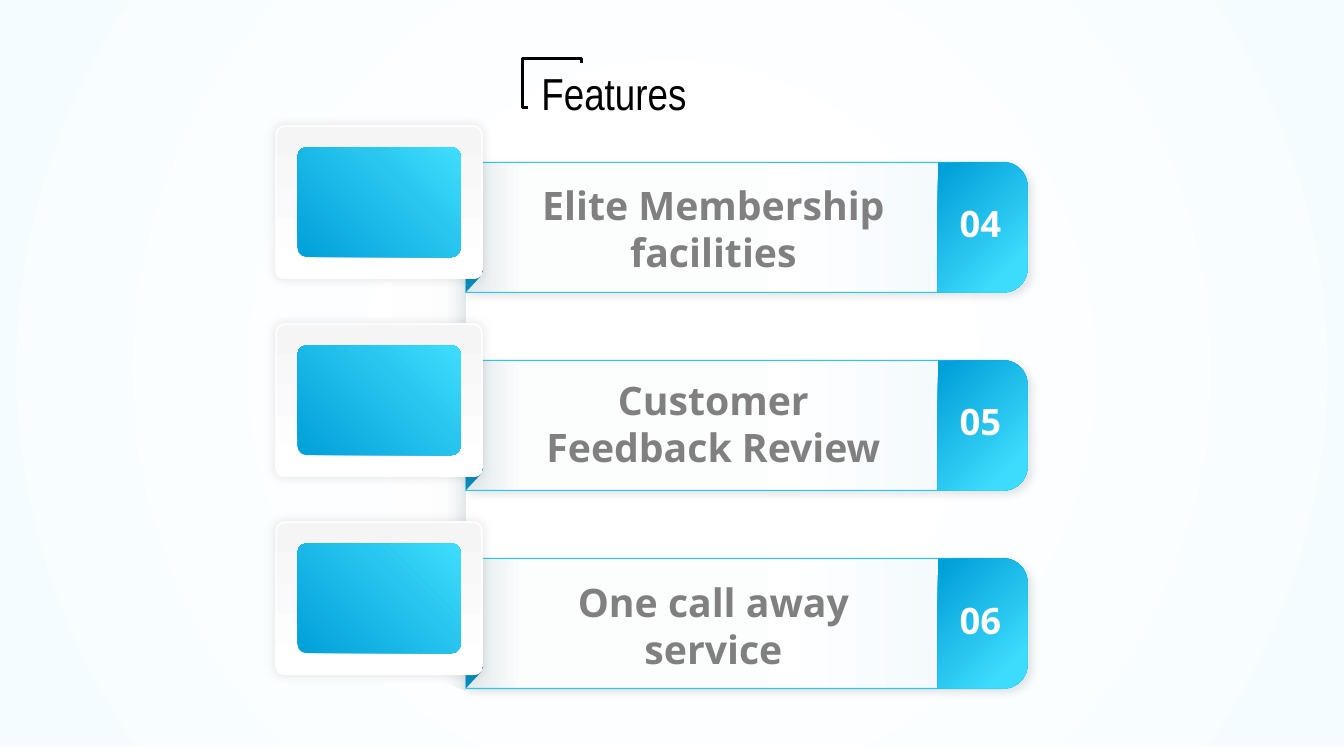
import math
from lxml import etree
from pptx import Presentation
from pptx.dml.color import RGBColor
from pptx.enum.shapes import MSO_SHAPE
from pptx.enum.text import MSO_ANCHOR, MSO_AUTO_SIZE, PP_ALIGN
from pptx.oxml.ns import qn
from pptx.util import Inches, Pt

RECTANGLE = MSO_SHAPE.RECTANGLE
ROUNDED = MSO_SHAPE.ROUNDED_RECTANGLE
TOP = MSO_ANCHOR.TOP
FIT_SHAPE = MSO_AUTO_SIZE.SHAPE_TO_FIT_TEXT
LEFT, CENTER = PP_ALIGN.LEFT, PP_ALIGN.CENTER

FEATURES = [
    ("04", "Elite Membership facilities", 1.75),
    ("05", "Customer Feedback Review", 3.68),
    ("06", "One call away service", 5.69),
]
ROW_TOP, ROW_PITCH, ROW_HEIGHT = 1.61, 3.93 / 2, 1.29
BAR_LEFT, BAR_RIGHT, BADGE_LEFT = 4.62, 10.19, 9.3
BAR_RADIUS, FRAME_RADIUS = 0.24, 0.09
FRAME_LEFT, FRAME_WIDTH, FRAME_HEIGHT = 2.73, 2.06, 1.53
BAR_STOPS = [(0, "E1E8EB", 100), (10, "FCFDFD", 100), (54, "FFFFFF", 100), (90, "F2F9FC", 100)]
FRAME_STOPS = [(0, "FFFFFF", 100), (100, "F5F5F5", 100)]
ICON_STOPS = [(0, "01A0D9", 100), (100, "3EDCFC", 100)]
BADGE_STOPS = [(5, "01A0D9", 100), (84, "3EDCFC", 100)]
FADE_STOPS = [(31, "FFFFFF", 0), (80, "FCFDFD", 30), (100, "E1E8EB", 100)]
PAGE_STOPS = [(25, "FFFFFF", 100), (100, "F5FCFF", 100)]


def color(value):
    return RGBColor.from_string(value)


def paint(shape, stops, angle=None, line=None, shadow=None):
    shape.shadow.inherit = False
    shape.fill.gradient()
    gradient = shape._element.spPr.find(qn("a:gradFill"))
    for child in list(gradient):
        gradient.remove(child)
    stop_list = etree.SubElement(gradient, qn("a:gsLst"))
    for position, value, opacity in stops:
        stop = etree.SubElement(stop_list, qn("a:gs"), pos=str(position * 1000))
        tint = etree.SubElement(stop, qn("a:srgbClr"), val=value)
        if opacity < 100:
            etree.SubElement(tint, qn("a:alpha"), val=str(opacity * 1000))
    if angle is None:
        radial = etree.SubElement(gradient, qn("a:path"), {"path": "circle"})
        etree.SubElement(radial, qn("a:fillToRect"), l="50000", t="50000", r="50000", b="50000")
    else:
        etree.SubElement(gradient, qn("a:lin"), ang=str(angle * 60000), scaled="0")
    if line:
        shape.line.color.rgb = color(line)
        shape.line.width = Pt(0.75)
    else:
        shape.line.fill.background()
    if shadow:
        blur, distance, direction = shadow
        effects = shape._element.spPr.find(qn("a:effectLst"))
        outer = etree.SubElement(effects, qn("a:outerShdw"), blurRad=str(Pt(blur)),
                                 dist=str(Pt(distance)), dir=str(direction * 60000),
                                 algn="ctr", rotWithShape="0")
        black = etree.SubElement(outer, qn("a:srgbClr"), val="000000")
        etree.SubElement(black, qn("a:alpha"), val="10000")


deck = Presentation()
deck.slide_width, deck.slide_height = Inches(13.33), Inches(7.5)
page = deck.slides.add_slide(deck.slide_layouts[5])
shapes = page.shapes

backdrop = shapes.add_shape(RECTANGLE, 0, Inches(-0.09), Inches(13.33), Inches(7.5))
paint(backdrop, PAGE_STOPS)

builder = shapes.build_freeform(Inches(4.62), Inches(6.85))
builder.add_line_segments([(Inches(x), Inches(y)) for x, y in
                           [(3.54, 6.36), (3.54, 1.75), (4.62, 1.25)]])
paint(builder.convert_to_shape(), FADE_STOPS, 0)

for row, (number, label, label_top) in enumerate(FEATURES):
    top = ROW_TOP + row * ROW_PITCH
    bottom = top + ROW_HEIGHT
    frame_top = top - 0.37
    corner_x = BAR_RIGHT - BAR_RADIUS
    right_edge = []
    for start, center_y in [(-90, top + BAR_RADIUS), (0, bottom - BAR_RADIUS)]:
        for step in range(0, 91, 6):
            turn = math.radians(start + step)
            right_edge.append((Inches(corner_x + BAR_RADIUS * math.cos(turn)),
                               Inches(center_y + BAR_RADIUS * math.sin(turn))))
    panels = []
    for left in (BAR_LEFT, BADGE_LEFT):
        builder = shapes.build_freeform(Inches(left), Inches(top))
        builder.add_line_segments(right_edge + [(Inches(left), Inches(bottom))])
        panels.append(builder.convert_to_shape())
    bar, badge = panels
    paint(bar, BAR_STOPS, 0, line="29C6FA", shadow=(6, 3, 45))
    paint(badge, BADGE_STOPS, 45)

    builder = shapes.build_freeform(Inches(BAR_LEFT), Inches(bottom))
    builder.add_line_segments([(Inches(BAR_LEFT + x), Inches(bottom + y)) for x, y in
                               [(0, -0.27), (0.16, -0.27), (0.17, -0.21), (0.14, -0.15)]])
    fold = builder.convert_to_shape()
    fold.shadow.inherit = False
    fold.fill.solid()
    fold.fill.fore_color.rgb = color("098CBB")
    fold.line.fill.background()

    rounded = []
    for inset_x, inset_y in [(0, 0), (0.01, 0.01), (0.22, 0.22)]:
        width, height = FRAME_WIDTH - 2 * inset_x, FRAME_HEIGHT - 2 * inset_y
        panel = shapes.add_shape(ROUNDED, Inches(FRAME_LEFT + inset_x), Inches(frame_top + inset_y),
                                 Inches(width), Inches(height))
        panel.adjustments[0] = FRAME_RADIUS / height
        rounded.append(panel)
    frame, rim, icon = rounded
    paint(frame, FRAME_STOPS, 270, shadow=(8, 0, 36))
    rim.shadow.inherit = False
    rim.fill.background()
    rim.line.color.rgb = color("FFFFFF")
    rim.line.width = Pt(1)
    paint(icon, ICON_STOPS, 315)

    for text, left, text_top, width, height, size, value, align, wrap in [
        (number, 9.42, top + 0.34, 0.62, 0.54, 26, "FFFFFF", LEFT, False),
        (label, 5.07, label_top, 4.01, 1.04, 28, "808080", CENTER, True),
    ]:
        box = shapes.add_textbox(Inches(left), Inches(text_top), Inches(width), Inches(height))
        box.text_frame.word_wrap = wrap
        box.text_frame.auto_size = FIT_SHAPE
        para = box.text_frame.paragraphs[0]
        para.alignment = align
        span = para.add_run()
        span.text = text
        span.font.name = "Open Sans"
        span.font.size = Pt(size)
        span.font.bold = True
        span.font.color.rgb = color(value)

title = shapes.title
title.left, title.top, title.width, title.height = Inches(5.37), Inches(0.65), Inches(1.61), Inches(0.54)
heading = title.text_frame
heading.margin_left = heading.margin_right = heading.margin_top = heading.margin_bottom = 0
heading.word_wrap = False
heading.auto_size = FIT_SHAPE
heading.vertical_anchor = TOP
para = heading.paragraphs[0]
para.alignment = LEFT
span = para.add_run()
span.text = "Features"
span.font.name = "Arial Narrow"
span.font.size = Pt(32)
span.font.color.rgb = color("000000")
title._element.getparent().append(title._element)

builder = shapes.build_freeform(Inches(5.24), Inches(1.07))
builder.add_line_segments([(Inches(x), Inches(y)) for x, y in
                           [(5.18, 1.07), (5.18, 0.58), (5.77, 0.58), (5.77, 0.63)]], close=False)
bracket = builder.convert_to_shape()
bracket.shadow.inherit = False
bracket.fill.background()
bracket.line.color.rgb = color("000000")
bracket.line.width = Pt(2.25)

deck.save("out.pptx")
